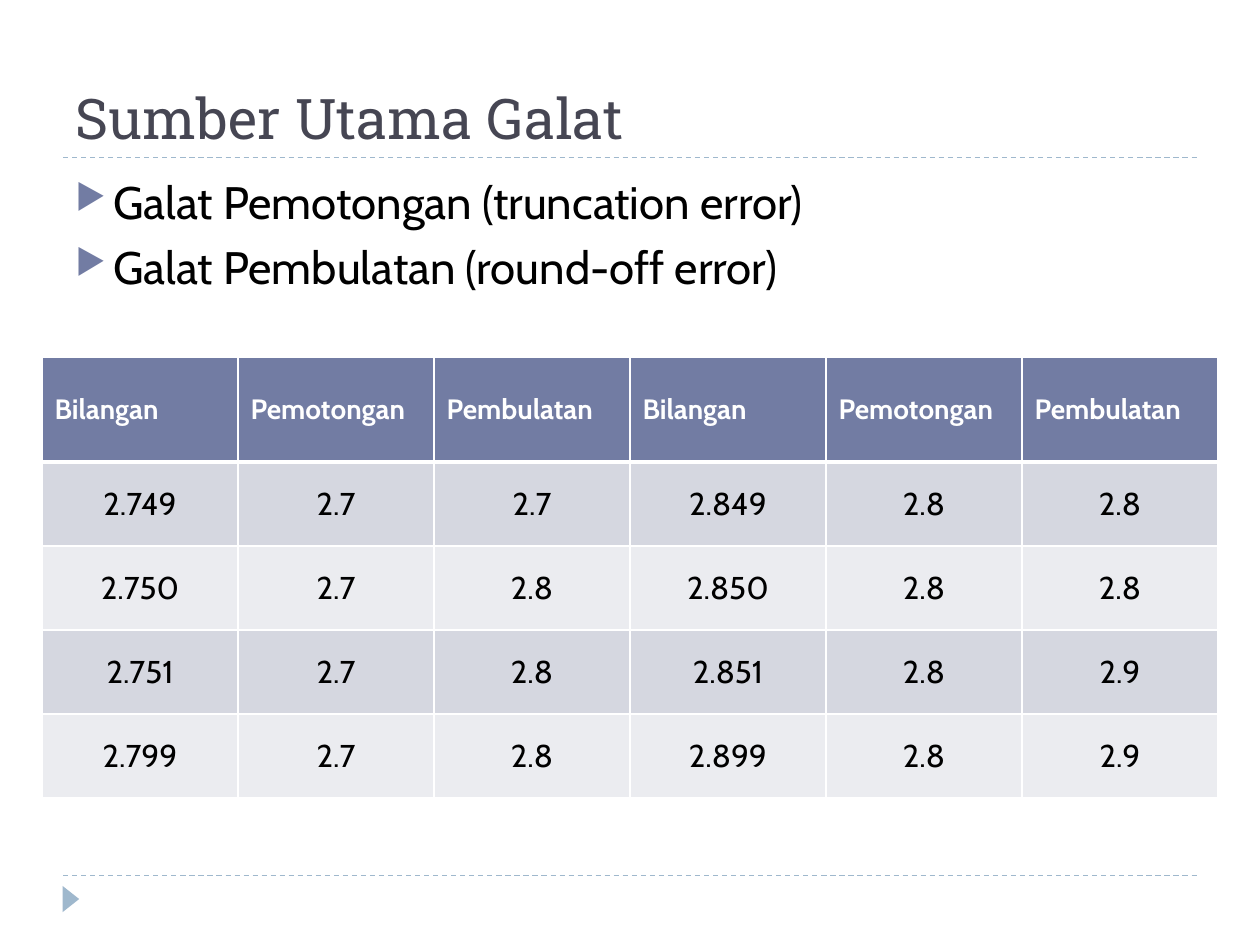
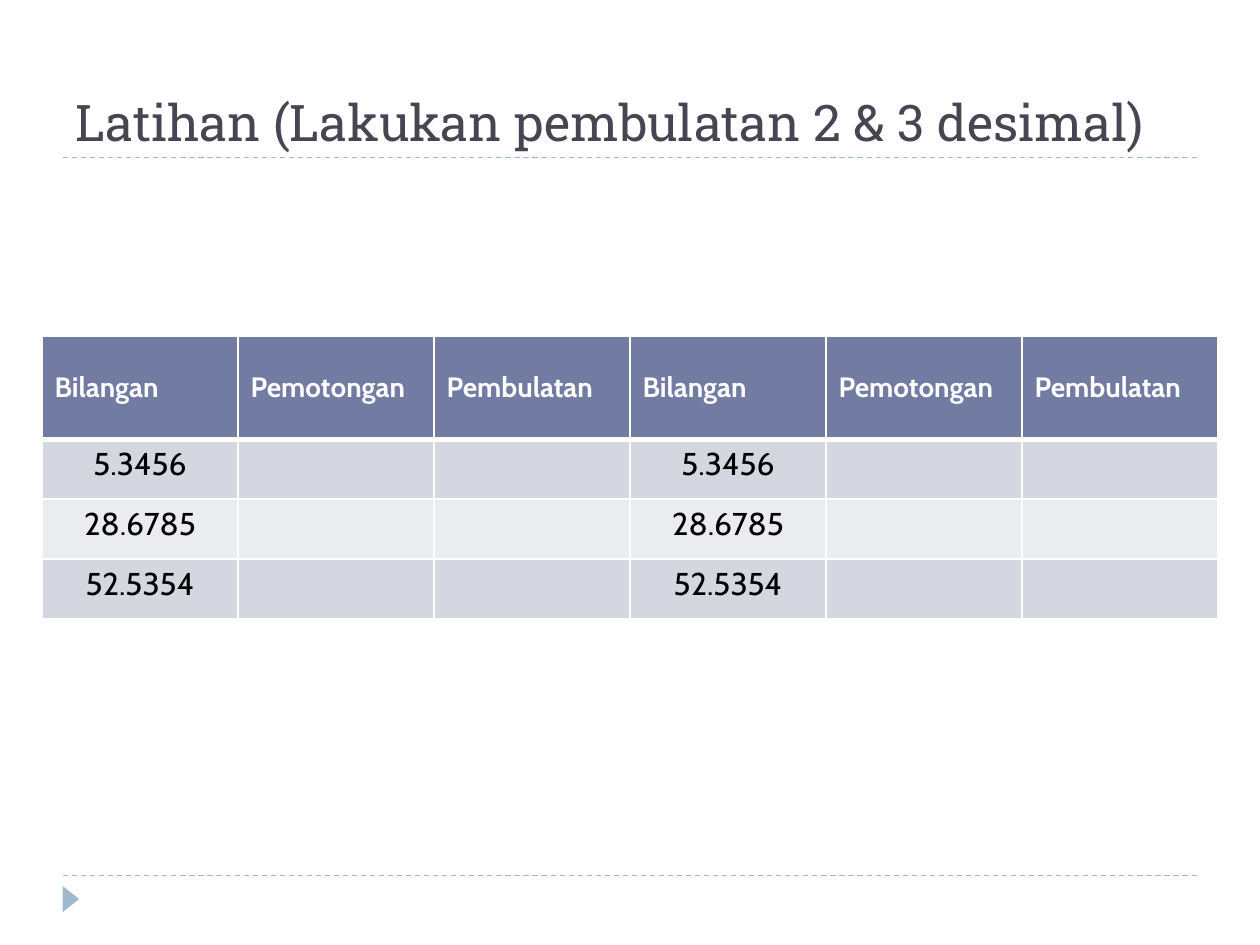
from pptx import Presentation
from pptx.dml.color import RGBColor
from pptx.enum.dml import MSO_LINE
from pptx.enum.shapes import MSO_CONNECTOR, MSO_SHAPE
from pptx.enum.text import MSO_ANCHOR, MSO_AUTO_SIZE, PP_ALIGN
from pptx.oxml.ns import qn
from pptx.util import Pt
from lxml.etree import SubElement


def color(hex_code):
    return RGBColor.from_string(hex_code)


class Deck:
    """Shared style, and the slide being built."""
    HEADING_FONT, BODY_FONT = "Roboto Slab", "Cabin"
    TITLE, TEXT, WHITE = "464653", "000000", "FFFFFF"
    ACCENT, RULE = "727CA3", "9FB8CD"
    BANDS = ("D5D7E0", "EBECF0")
    LEFT, WIDTH = 36, 648
    TITLE_RULE_Y, FOOTER_RULE_Y = 90, 500.4

    def __init__(self):
        self.prs = Presentation()
        self.prs.slide_width, self.prs.slide_height = Pt(720), Pt(540)

    def new_slide(self, title, size):
        self.slide = self.prs.slides.add_slide(self.prs.slide_layouts[5])
        self.rule(self.FOOTER_RULE_Y)
        self.rule(self.TITLE_RULE_Y)
        self.footer_marker()
        self.title(title, size)

    def style(self, paragraph, font, size, hex_code, bold=False):
        for run in paragraph.runs:
            run.font.name, run.font.size, run.font.bold = font, Pt(size), bold
            run.font.color.rgb = color(hex_code)

    def title(self, text, size):
        heading = self.slide.shapes.title
        heading.left, heading.top = Pt(self.LEFT), Pt(12)
        heading.width, heading.height = Pt(self.WIDTH), Pt(78)
        frame = heading.text_frame
        frame.text = text
        frame.auto_size = MSO_AUTO_SIZE.NONE
        frame.vertical_anchor = MSO_ANCHOR.BOTTOM
        frame.paragraphs[0].alignment = PP_ALIGN.LEFT
        self.style(frame.paragraphs[0], self.HEADING_FONT, size, self.TITLE)

    def rule(self, y):
        line = self.slide.shapes.add_connector(
            MSO_CONNECTOR.STRAIGHT, Pt(self.LEFT), Pt(y),
            Pt(self.LEFT + self.WIDTH), Pt(y))
        line.line.color.rgb = color(self.RULE)
        line.line.width = Pt(0.75)
        line.line.dash_style = MSO_LINE.DASH
        SubElement(line._element.spPr, qn("a:effectLst"))

    def footer_marker(self):
        marker = self.slide.shapes.add_shape(
            MSO_SHAPE.ISOSCELES_TRIANGLE, Pt(33), Pt(509), Pt(15), Pt(9.5))
        marker.rotation = 90
        marker.shadow.inherit = False
        marker.fill.solid()
        marker.fill.fore_color.rgb = color(self.RULE)
        marker.line.fill.background()

    def bullets(self, items):
        box = self.slide.shapes.add_textbox(
            Pt(self.LEFT), Pt(96), Pt(self.WIDTH), Pt(388.8))
        frame = box.text_frame
        frame.word_wrap = True
        frame.text = "\n".join(items)
        for paragraph in frame.paragraphs:
            paragraph.space_before = Pt(6)
            self.style(paragraph, self.BODY_FONT, 26, self.TEXT)
            props = paragraph._p.get_or_add_pPr()
            props.set("marL", str(Pt(21.6)))
            props.set("indent", str(-Pt(21.6)))
            bullet_color = SubElement(props, qn("a:buClr"))
            SubElement(bullet_color, qn("a:srgbClr"), val=self.ACCENT)
            SubElement(props, qn("a:buSzPct"), val="76000")
            SubElement(props, qn("a:buChar"), char="▶")

    def borders(self, cell, top, bottom):
        props = cell._tc.get_or_add_tcPr()
        for side, width in (("L", 1), ("R", 1), ("T", top), ("B", bottom)):
            edge = SubElement(props, qn("a:ln" + side), w=str(Pt(width)))
            fill = SubElement(edge, qn("a:solidFill"))
            SubElement(fill, qn("a:srgbClr"), val=self.WHITE)

    def table(self, top, header_height, row_height, rows, anchor):
        """Header row over banded rows of centred values."""
        contents = [("Bilangan", "Pemotongan", "Pembulatan") * 2] + rows
        heights = [header_height] + [row_height] * len(rows)
        grid = self.slide.shapes.add_table(
            len(contents), 6, Pt(24), Pt(top), Pt(672), Pt(sum(heights))).table
        for r, (values, height) in enumerate(zip(contents, heights)):
            grid.rows[r].height = Pt(height)
            header = r == 0
            for c, value in enumerate(values):
                cell = grid.cell(r, c)
                self.borders(cell, 3 if r == 1 else 1, 3 if header else 1)
                cell.fill.solid()
                cell.fill.fore_color.rgb = color(
                    self.ACCENT if header else self.BANDS[(r - 1) % 2])
                cell.vertical_anchor = MSO_ANCHOR.MIDDLE if header else anchor
                cell.text_frame.text = value
                paragraph = cell.text_frame.paragraphs[0]
                paragraph.alignment = (
                    PP_ALIGN.LEFT if header else PP_ALIGN.CENTER)
                self.style(paragraph, self.BODY_FONT, 16 if header else 18,
                           self.WHITE if header else self.TEXT, header)


deck = Deck()

# Sources of error: truncation against rounding
deck.new_slide("Sumber Utama Galat", 32)
deck.bullets(["Galat Pemotongan (truncation error)",
              "Galat Pembulatan (round-off error)"])
deck.table(204, 60, 48, [
    ("2.749", "2.7", "2.7", "2.849", "2.8", "2.8"),
    ("2.750", "2.7", "2.8", "2.850", "2.8", "2.8"),
    ("2.751", "2.7", "2.8", "2.851", "2.8", "2.9"),
    ("2.799", "2.7", "2.8", "2.899", "2.8", "2.9"),
], MSO_ANCHOR.MIDDLE)

# Exercise: the answer cells stay empty
deck.new_slide("Latihan (Lakukan pembulatan 2 & 3 desimal)", 28.8)
deck.table(192, 59, 34.25,
           [(number, "", "") * 2 for number in ("5.3456", "28.6785", "52.5354")],
           MSO_ANCHOR.TOP)

deck.prs.save("out.pptx")
